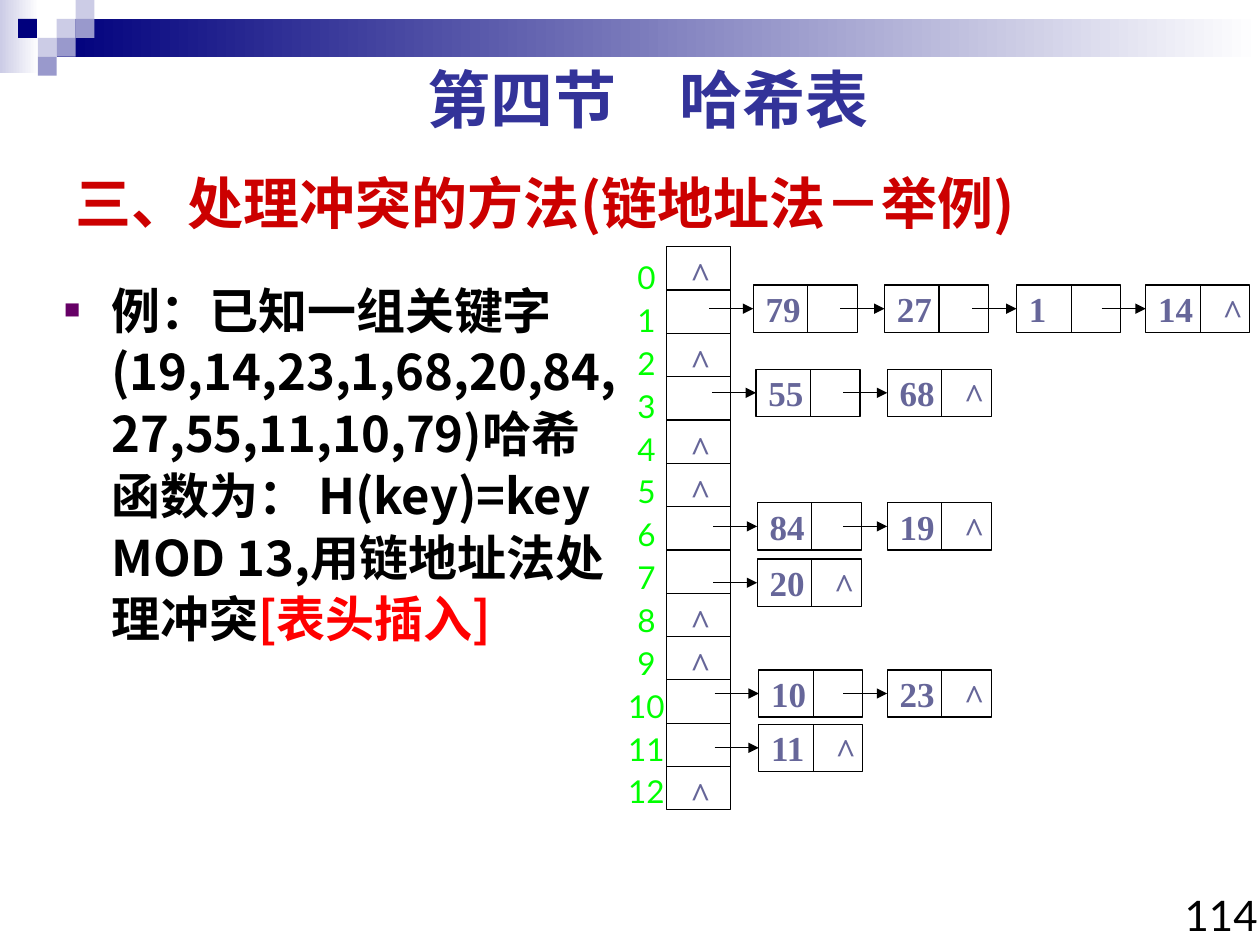
from dataclasses import dataclass

from lxml import etree
from pptx import Presentation
from pptx.dml.color import RGBColor
from pptx.enum import shapes, text
from pptx.oxml import ns
from pptx.util import Pt


@dataclass(frozen=True)
class Theme:
    latin: str = "Lato"
    chinese: str = "Noto Sans CJK SC"
    serif: str = "Times New Roman"
    black: str = "000000"
    white: str = "FFFFFF"
    navy: str = "00007D"
    lilac: str = "9999CC"
    pale: str = "CCCCE6"
    heading: str = "333399"
    title: str = "CC0000"
    bullet: str = "660066"
    red: str = "FF0000"
    key: str = "666699"
    index: str = "00FF00"
    heading_size: int = 36
    title_size: int = 32
    body_size: int = 28
    page_size: int = 24
    key_size: int = 20
    index_size: int = 18
    line_width: float = 0.75


THEME = Theme()
HEADING = dict(name=THEME.latin, size=Pt(THEME.heading_size), bold=True, color=THEME.heading)
TITLE = dict(name=THEME.chinese, size=Pt(THEME.title_size), bold=True, color=THEME.title)
BODY = dict(name=THEME.chinese, size=Pt(THEME.body_size), bold=True, color=THEME.black)
PAGE = dict(name=THEME.latin, size=Pt(THEME.page_size), bold=False, color=THEME.black)
KEY = dict(name=THEME.serif, size=Pt(THEME.key_size), bold=True, color=THEME.key)
INDEX = dict(name=THEME.latin, size=Pt(THEME.index_size), bold=False, color=THEME.index)

ROWS = 13
COLUMN_LEFT, COLUMN_TOP, COLUMN_WIDTH, ROW_HEIGHT = 380.9, 141, 36.7, 24.75
NODE_WIDTH, NODE_HEIGHT, KEY_WIDTH, ARROW_LENGTH = 59.5, 27, 31.2, 25.2
CARET_SIZE = (25.9, 31.7)

# Bucket row: (top, [(left, key), ...])
CHAINS = {
    1: (162.9, [(430.4, "79"), (505.4, "27"), (580.9, "1"), (654.7, "14")]),
    3: (211, [(432, "55"), (507, "68")]),
    6: (287.3, [(432.7, "84"), (507, "19")]),
    7: (319.5, [(432.7, "20")]),
    10: (382.8, [(433.6, "10"), (507, "23")]),
    11: (413.8, [(433.6, "11")]),
}


def points(*lengths):
    return [Pt(length) for length in lengths]


def place(shape, left, top, width, height):
    shape.left, shape.top, shape.width, shape.height = points(left, top, width, height)


def add_run(paragraph, content, style):
    run = paragraph.add_run()
    run.text = content
    for name, value in style.items():
        if name == "color":
            run.font.color.rgb = RGBColor.from_string(value)
        else:
            setattr(run.font, name, value)
    east_asian = etree.SubElement(run._r.get_or_add_rPr(), ns.qn("a:ea"))
    east_asian.set("typeface", THEME.chinese)


def add_text(parent, box, lines, style, align=text.PP_ALIGN.LEFT, wrap=True, space_before=0):
    frame = parent.add_textbox(*points(*box)).text_frame
    frame.word_wrap = wrap
    frame.auto_size = text.MSO_AUTO_SIZE.SHAPE_TO_FIT_TEXT
    for number, line in enumerate(lines):
        paragraph = frame.add_paragraph() if number else frame.paragraphs[0]
        paragraph.alignment = align
        if number:
            paragraph.space_before = Pt(space_before)
        add_run(paragraph, line, style)


def add_rectangle(parent, box, fill=None, gradient=None, outline=None):
    shape = parent.add_shape(shapes.MSO_SHAPE.RECTANGLE, *points(*box))
    shape.shadow.inherit = False
    if gradient:
        shape.fill.gradient()
        shape.fill.gradient_angle = 0
        for stop, color in zip(shape.fill.gradient_stops, gradient):
            stop.color.rgb = RGBColor.from_string(color)
    elif fill:
        shape.fill.solid()
        shape.fill.fore_color.rgb = RGBColor.from_string(fill)
    else:
        shape.fill.background()
    if outline:
        shape.line.color.rgb = RGBColor.from_string(outline)
        shape.line.width = Pt(THEME.line_width)
    else:
        shape.line.fill.background()
    return shape


def add_line(parent, start, end, target=None):
    """Draw a line; with a target, an arrow joined to the target's left side."""
    line = parent.add_connector(shapes.MSO_CONNECTOR.STRAIGHT, *points(*start, *end))
    line.line.color.rgb = RGBColor.from_string(THEME.black)
    line.line.width = Pt(THEME.line_width)
    if target is not None:
        line.end_connect(target, 1)
        etree.SubElement(line.line._get_or_add_ln(), ns.qn("a:tailEnd")).set("type", "triangle")
    etree.SubElement(line._element.spPr, ns.qn("a:effectLst"))


def add_caret(parent, left, top):
    add_text(parent, (left, top, *CARET_SIZE), ["^"], KEY, wrap=False)


def add_node(parent, left, top, key, last):
    group = parent.add_group_shape().shapes
    node = add_rectangle(group, (left, top, NODE_WIDTH, NODE_HEIGHT), outline=THEME.black)
    frame = node.text_frame
    frame.word_wrap = False
    frame.vertical_anchor = text.MSO_ANCHOR.MIDDLE
    frame.paragraphs[0].alignment = text.PP_ALIGN.LEFT
    add_run(frame.paragraphs[0], key, KEY)
    divider, middle = left + KEY_WIDTH, top + NODE_HEIGHT / 2
    add_line(group, (divider, top), (divider, top + NODE_HEIGHT))
    add_line(group, (left - ARROW_LENGTH, middle), (left, middle), node)
    if last:
        add_caret(group, left + 36.9, top - 1)


def add_bucket_column(parent):
    group = parent.add_group_shape().shapes
    box = (COLUMN_LEFT, COLUMN_TOP, COLUMN_WIDTH, ROWS * ROW_HEIGHT)
    add_rectangle(group, box, outline=THEME.black)
    for row in range(ROWS):
        top = COLUMN_TOP + row * ROW_HEIGHT
        if row:
            add_line(group, (COLUMN_LEFT, top), (COLUMN_LEFT + COLUMN_WIDTH, top))
        if row not in CHAINS:
            add_caret(parent, 387.4, top)
    add_text(parent, (348.5, 144, 41.8, 322.6), [str(row) for row in range(ROWS)], INDEX,
             text.PP_ALIGN.CENTER, space_before=2.9)


def add_banner(parent):
    add_rectangle(parent, (0, 0, 22.3, 41.8), gradient=(THEME.pale, THEME.white))
    add_rectangle(parent, (32.4, 10.8, 687.6, 21.6), gradient=(THEME.navy, THEME.white))
    side = 10.8
    for left, top, color in [
        (32.4, 10.8, THEME.pale), (43.2, 0, THEME.pale), (43.2, 10.8, THEME.lilac),
        (21.6, 21.6, THEME.pale), (10.3, 10.8, THEME.navy),
        (32.4, 21.6, THEME.lilac), (21.6, 32.4, THEME.lilac),
    ]:
        add_rectangle(parent, (left, top, side, side), fill=color)


def fill_title(title):
    place(title, 36, 88.6, 666, 54)
    title.text_frame.vertical_anchor = text.MSO_ANCHOR.MIDDLE
    title.text_frame.auto_size = text.MSO_AUTO_SIZE.NONE
    paragraph = title.text_frame.paragraphs[0]
    paragraph.alignment = text.PP_ALIGN.LEFT
    add_run(paragraph, "三、处理冲突的方法(链地址法－举例)", TITLE)


def fill_body(body):
    place(body, 29.5, 154.8, 336.2, 318.2)
    body.text_frame.auto_size = text.MSO_AUTO_SIZE.NONE
    paragraph = body.text_frame.paragraphs[0]
    properties = paragraph._p.get_or_add_pPr()
    properties.set("marL", str(Pt(27)))
    properties.set("indent", str(Pt(-27)))
    color = etree.SubElement(properties, ns.qn("a:buClr"))
    etree.SubElement(color, ns.qn("a:srgbClr")).set("val", THEME.bullet)
    etree.SubElement(properties, ns.qn("a:buSzPct")).set("val", "55000")
    etree.SubElement(properties, ns.qn("a:buChar")).set("char", "■")
    paragraph.line_spacing = 1.05
    paragraph.space_before = Pt(0)
    add_run(paragraph, "例：已知一组关键字(19,14,23,1,68,20,84,27,55,11,10,79)"
            "哈希函数为： H(key)=key MOD 13,用链地址法处理冲突", BODY)
    add_run(paragraph, "[表头插入]", {**BODY, "color": THEME.red})


def main():
    presentation = Presentation()
    presentation.slide_width, presentation.slide_height = points(720, 540)
    slide = presentation.slides.add_slide(presentation.slide_layouts[1])
    add_banner(slide.shapes)
    fill_title(slide.shapes.title)
    fill_body(slide.placeholders[1])
    add_text(slide.shapes, (37.4, 31, 666, 50.4), ["第四节\u3000哈希表".replace("\u3000", "　")],
             HEADING, text.PP_ALIGN.CENTER)
    add_text(slide.shapes, (659.5, 504.7, 66.2, 42.5), ["114"], PAGE, text.PP_ALIGN.RIGHT)
    add_bucket_column(slide.shapes)
    for top, nodes in CHAINS.values():
        for left, key in nodes:
            add_node(slide.shapes, left, top, key, last=(left, key) == nodes[-1])
    presentation.save("out.pptx")


if __name__ == "__main__":
    main()
